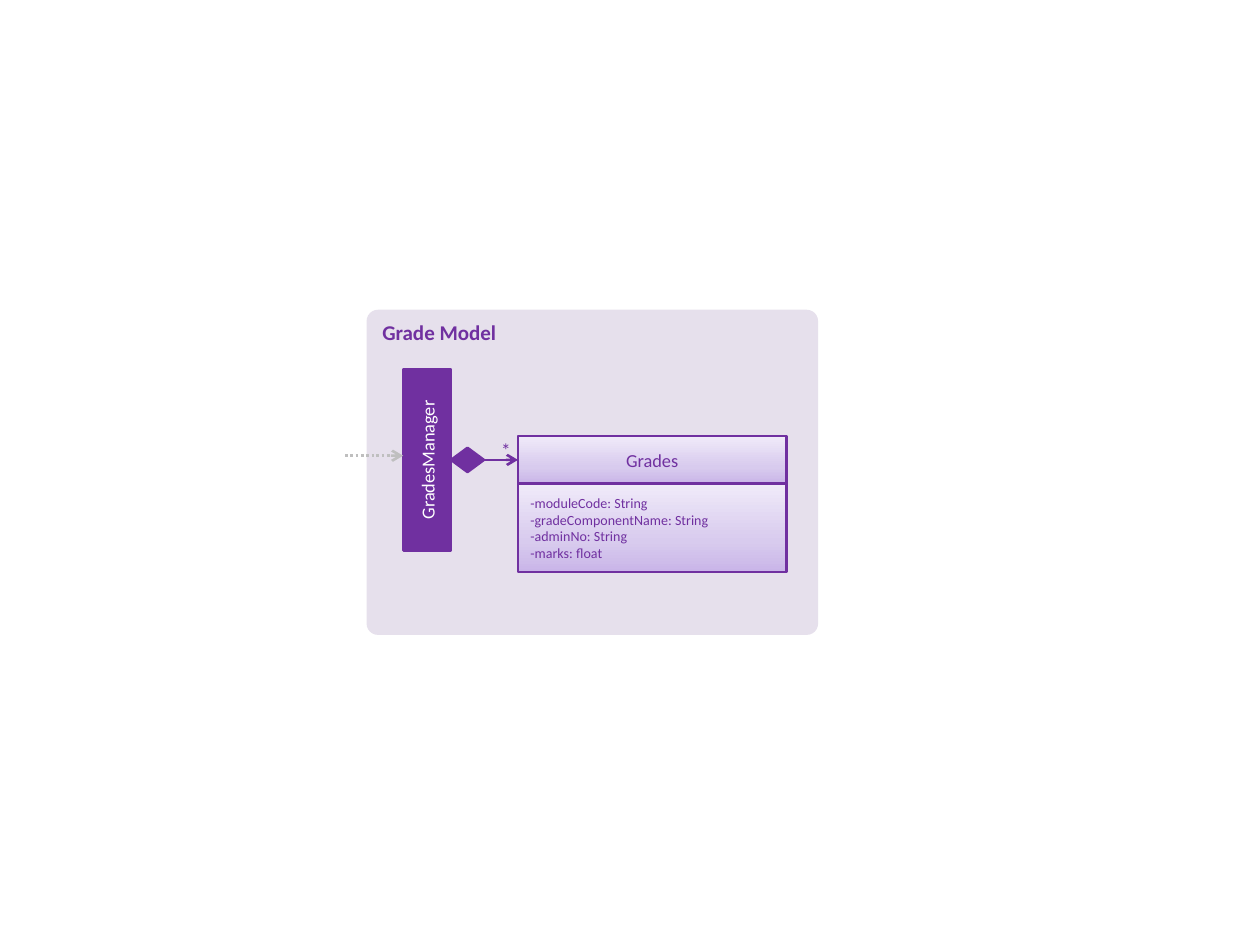
from copy import deepcopy
from dataclasses import dataclass

from lxml import etree
from pptx import Presentation
from pptx import util as u
from pptx.dml import color
from pptx.enum import dml, shapes, text
from pptx.oxml import ns

PURPLE, PANEL, GREY, WHITE = "7030A0", "E6E0EC", "BFBFBF", "FFFFFF"
FADE = ((0, "C9B5E8"), (0.35, "D8CBEE"), (1, "F0EAF9"))
LINE_WIDTH = 1.5
AXIS_Y = 262.8
CLASS_LEFT, CLASS_TOP, CLASS_WIDTH, HEADER_HEIGHT = 296, 249.1, 153.4, 27.4
FIELDS = (
    "-moduleCode: String",
    "-gradeComponentName: String",
    "-adminNo: String",
    "-marks: float",
)


@dataclass
class Box:
    left: float
    top: float
    width: float
    height: float
    lines: tuple[str, ...] = ()
    size: float = 10.5
    ink: str = PURPLE
    fill: str | None = None
    outline: str | None = PURPLE
    shape: int = shapes.MSO_SHAPE.RECTANGLE
    align: int = text.PP_ALIGN.CENTER
    anchor: int = text.MSO_ANCHOR.MIDDLE
    bold: bool = False
    rotation: float = 0

    def frame(self) -> list[u.Length]:
        return [u.Pt(v) for v in (self.left, self.top, self.width, self.height)]


def rgb(value: str) -> color.RGBColor:
    return color.RGBColor.from_string(value)


def write(frame, box: Box) -> None:
    frame.word_wrap = True
    frame.vertical_anchor = box.anchor
    for index, line in enumerate(box.lines):
        para = frame.add_paragraph() if index else frame.paragraphs[0]
        para.text = line
        para.alignment = box.align
        para.font.name = "Calibri"
        para.font.size = u.Pt(box.size)
        para.font.bold = box.bold
        para.font.color.rgb = rgb(box.ink)


def fade(shape) -> None:
    shape.fill.gradient()
    shape.fill.gradient_angle = 90
    stops = shape._element.spPr.find(".//" + ns.qn("a:gsLst"))
    while len(stops) < len(FADE):
        stops.append(deepcopy(stops[-1]))
    for stop, (position, value) in zip(shape.fill.gradient_stops, FADE):
        stop.position = position
        stop.color.rgb = rgb(value)


def draw_box(page, box: Box):
    shape = page.shapes.add_shape(box.shape, *box.frame())
    shape.shadow.inherit = False
    shape.rotation = box.rotation
    if box.fill:
        shape.fill.solid()
        shape.fill.fore_color.rgb = rgb(box.fill)
    else:
        fade(shape)
    if box.outline:
        shape.line.color.rgb = rgb(box.outline)
        shape.line.width = u.Pt(LINE_WIDTH)
    else:
        shape.line.fill.background()
    write(shape.text_frame, box)
    return shape


def draw_label(page, box: Box) -> None:
    frame = page.shapes.add_textbox(*box.frame()).text_frame
    frame.margin_left = frame.margin_right = 0
    frame.margin_top = frame.margin_bottom = 0
    write(frame, box)


def draw_arrow(page, kind: int, start: tuple[float, float],
               end: tuple[float, float], ink: str):
    arrow = page.shapes.add_connector(kind, *(u.Pt(v) for v in start + end))
    arrow.line.color.rgb = rgb(ink)
    arrow.line.width = u.Pt(LINE_WIDTH)
    line = arrow.line._get_or_add_ln()
    etree.SubElement(line, ns.qn("a:tailEnd"), type="arrow")
    etree.SubElement(arrow._element.spPr, ns.qn("a:effectLst"))
    return arrow


def main() -> None:
    deck = Presentation()
    deck.slide_width, deck.slide_height = u.Pt(720), u.Pt(540)
    page = deck.slides.add_slide(deck.slide_layouts[6])

    panel = draw_box(page, Box(
        209.5, 177, 258, 185.8, ("Grade Model",), size=12, bold=True,
        fill=PANEL, outline=None, shape=shapes.MSO_SHAPE.ROUNDED_RECTANGLE,
        align=text.PP_ALIGN.LEFT, anchor=text.MSO_ANCHOR.TOP))
    panel.adjustments[0] = 0.035

    draw_box(page, Box(192.2, 249.1, 103.8, 27.4, ("GradesManager",),
                       ink=WHITE, fill=PURPLE, rotation=270))

    dependency = draw_arrow(page, shapes.MSO_CONNECTOR.ELBOW,
                            (197.3, 260.2), (230.4, 260.4), GREY)
    dependency.line.dash_style = dml.MSO_LINE.ROUND_DOT

    header = draw_box(page, Box(CLASS_LEFT, CLASS_TOP, CLASS_WIDTH,
                                HEADER_HEIGHT, ("Grades",)))
    draw_label(page, Box(282.2, 250.6, 13.7, 10.8, ("*",), size=11,
                         anchor=text.MSO_ANCHOR.TOP))
    draw_box(page, Box(CLASS_LEFT, CLASS_TOP + HEADER_HEIGHT, CLASS_WIDTH, 50.4,
                       FIELDS, size=8, align=text.PP_ALIGN.LEFT))

    diamond = draw_box(page, Box(257.8, AXIS_Y - 6.9, 18.7, 13.8, fill=PURPLE,
                                 shape=shapes.MSO_SHAPE.FLOWCHART_DECISION))
    composition = draw_arrow(page, shapes.MSO_CONNECTOR.STRAIGHT,
                             (276.5, AXIS_Y), (CLASS_LEFT, AXIS_Y), PURPLE)
    composition.begin_connect(diamond, 3)
    composition.end_connect(header, 1)

    deck.save("out.pptx")


if __name__ == "__main__":
    main()
